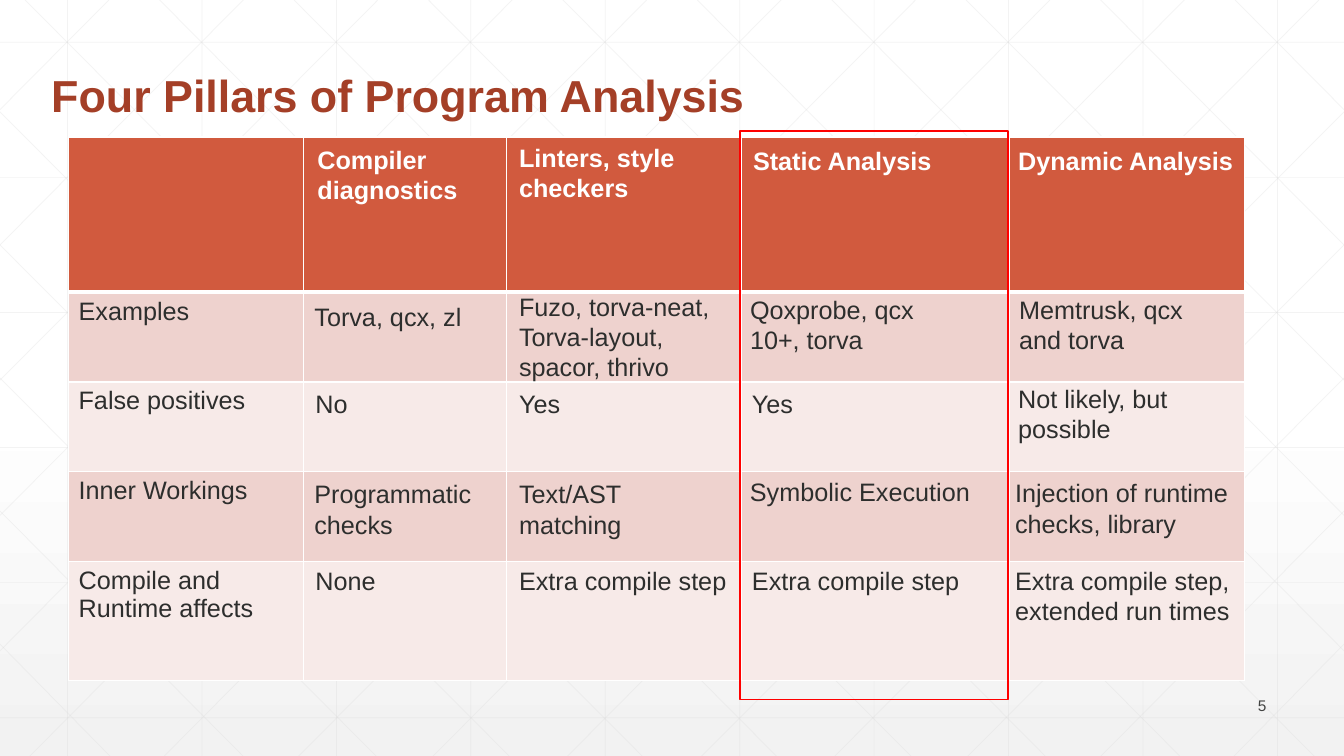
from lxml import etree
from pptx import Presentation
from pptx.dml.color import RGBColor
from pptx.enum import shapes, text
from pptx.oxml import ns
from pptx.util import Inches, Pt

WHITE = RGBColor(0xFF, 0xFF, 0xFF)
PALE_GREY = RGBColor(0xF2, 0xF2, 0xF2)
GRID_GREY = RGBColor(0xD9, 0xD9, 0xD9)
RUST = RGBColor(0xA4, 0x3F, 0x27)
ORANGE = RGBColor(0xD1, 0x5A, 0x3E)
ROSE = RGBColor(0xEE, 0xD2, 0xCE)
PALE_ROSE = RGBColor(0xF7, 0xEA, 0xE8)
INK = RGBColor(0x2D, 0x2E, 0x2D)
NUMBER_GREY = RGBColor(0x42, 0x43, 0x42)
RED = RGBColor(0xFF, 0x00, 0x00)

WIDTH, HEIGHT = 13.33, 7.5
STEP = 4 / 3
WRAP_WIDTH = 2.11

TITLE = {"size": Pt(32), "bold": True, "color": RUST}
HEADING = {"size": Pt(18), "bold": True, "color": WHITE}
BODY = {"size": Pt(18), "bold": False, "color": INK}
NUMBER = {"size": Pt(11), "bold": False, "color": NUMBER_GREY}


def write(frame, lines, style, **layout):
    """Fill a text frame with one paragraph per line, in one font style."""
    frame.text = "\n".join(lines)
    for paragraph in frame.paragraphs:
        for name, value in layout.items():
            setattr(paragraph, name, value)
        font = paragraph.runs[0].font
        font.name = "Arial"
        for name, value in style.items():
            if name == "color":
                font.color.rgb = value
            else:
                setattr(font, name, value)


def add_text(box, lines, style, frame_format, **layout):
    """Add a text box at (left, top, width, height) in inches."""
    frame = slide.shapes.add_textbox(*map(Inches, box)).text_frame
    write(frame, lines, style, **layout)
    for name, value in frame_format.items():
        setattr(frame, name, value)


deck = Presentation()
deck.slide_width, deck.slide_height = Inches(WIDTH), Inches(HEIGHT)
slide = deck.slides.add_slide(deck.slide_layouts[6])

# Background gradient
backdrop = slide.background.fill
backdrop.gradient()
backdrop.gradient_angle = 270
for stop, position, color in zip(backdrop.gradient_stops, (0.53, 1), (WHITE, PALE_GREY)):
    stop.position = position
    stop.color.rgb = color

# Faint grid: uprights, levels, then diagonals mirrored about the middle
grid = [(x, 0, x, HEIGHT) for x in (0.67 + STEP * i for i in range(10))]
grid += [(0, y, WIDTH, y) for y in (0.42 + 1.34 * i for i in range(6))]
diagonals = []
for i in range(10):
    start = 0.25 + STEP * i
    run = min(7.45, WIDTH - start)
    diagonals.append((start, 0, start + run, run * HEIGHT / 7.45))
for i in range(5):
    diagonals.append((6.37 - 1.32 * i, HEIGHT, 0, 1.11 + 1.32 * i))
grid += diagonals
grid += [(WIDTH - x1, y1, WIDTH - x2, y2) for x1, y1, x2, y2 in diagonals]

for ends in grid:
    rule = slide.shapes.add_connector(shapes.MSO_CONNECTOR.STRAIGHT, *map(Inches, ends))
    rule.line.width = Pt(0.5)
    rule.line.color.rgb = GRID_GREY
    properties = rule._element.spPr
    tint = properties.find(".//" + ns.qn("a:srgbClr"))
    etree.SubElement(tint, ns.qn("a:alpha"), val="30000")
    etree.SubElement(properties, ns.qn("a:effectLst"))

add_text((0.41, 0.19, 10.58, 1.07), ["Four Pillars of Program Analysis"], TITLE,
         {"word_wrap": True, "vertical_anchor": text.MSO_ANCHOR.BOTTOM}, line_spacing=0.9)

# Table with row labels
row_labels = ["", "Examples", "False positives", "Inner Workings", "Compile and Runtime affects"]
row_fills = [ORANGE, ROSE, PALE_ROSE, ROSE, PALE_ROSE]
row_heights = [1.54, 0.89, 0.89, 0.89, 1.18]
column_widths = [2.33, 2.01, 2.33, 2.66, 2.33]
pillars = slide.shapes.add_table(5, 5, Inches(0.68), Inches(1.36),
                                 Inches(sum(column_widths)), Inches(sum(row_heights))).table
for column, width in zip(pillars.columns, column_widths):
    column.width = Inches(width)
for r, (row, height) in enumerate(zip(pillars.rows, row_heights)):
    row.height = Inches(height)
    for cell in row.cells:
        cell_format = cell._tc.get_or_add_tcPr()
        for side in ("lnL", "lnR", "lnT", "lnB"):
            thick = (r, side) in ((0, "lnB"), (1, "lnT"))
            border = etree.SubElement(cell_format, ns.qn("a:" + side), w=str(Pt(3 if thick else 1)))
            solid = etree.SubElement(border, ns.qn("a:solidFill"))
            etree.SubElement(solid, ns.qn("a:srgbClr"), val=str(WHITE))
        cell.fill.solid()
        cell.fill.fore_color.rgb = row_fills[r]
    if row_labels[r]:
        write(pillars.cell(r, 0).text_frame, [row_labels[r]], BODY)

# Frame around the static analysis column
highlight = slide.shapes.add_shape(shapes.MSO_SHAPE.RECTANGLE, Inches(7.34), Inches(1.3),
                                   Inches(2.66), Inches(5.64))
highlight.shadow.inherit = False
highlight.fill.background()
highlight.line.color.rgb = RED
highlight.line.width = Pt(1)

add_text((11.66, 6.88, 1, 0.24), ["5"], NUMBER,
         {"word_wrap": True, "vertical_anchor": text.MSO_ANCHOR.MIDDLE},
         alignment=text.PP_ALIGN.RIGHT)

# Column entries: left, top, width, lines; the first of each column is its heading
columns = [
    [(3.05, 1.38, 1.6, ["Compiler", "diagnostics"]),
     (3.02, 2.94, 1.72, ["Torva, qcx, zl"]),
     (3.03, 3.8, 0.52, ["No"]),
     (3.02, 4.7, 1.77, ["Programmatic", "checks"]),
     (3.03, 5.56, 0.81, ["None"])],
    [(5.05, 1.36, 1.76, ["Linters, style", "checkers"]),
     (5.05, 2.84, WRAP_WIDTH, ["Fuzo, torva-neat,", "Torva-layout,", "spacor, thrivo"]),
     (5.05, 3.8, 0.61, ["Yes"]),
     (5.05, 4.7, 1.29, ["Text/AST", "matching"]),
     (5.05, 5.56, 2.28, ["Extra compile step"])],
    [(7.37, 1.39, 1.99, ["Static Analysis"]),
     (7.34, 2.87, WRAP_WIDTH, ["Qoxprobe, qcx", "10+, torva"]),
     (7.36, 3.8, 0.61, ["Yes"]),
     (7.34, 4.68, 2.4, ["Symbolic Execution"]),
     (7.36, 5.56, 2.28, ["Extra compile step"])],
    [(10, 1.39, 2.35, ["Dynamic Analysis"]),
     (10.01, 2.87, WRAP_WIDTH, ["Memtrusk, qcx", "and torva"]),
     (10, 3.75, WRAP_WIDTH, ["Not likely, but", "possible"]),
     (9.97, 4.69, 2.4, ["Injection of runtime", "checks, library"]),
     (9.97, 5.56, 2.38, ["Extra compile step,", "extended run times"])],
]
for entries in columns:
    for r, (left, top, width, lines) in enumerate(entries):
        add_text((left, top, width, 0.1 + 0.3 * len(lines)), lines, BODY if r else HEADING,
                 {"word_wrap": width == WRAP_WIDTH,
                  "auto_size": text.MSO_AUTO_SIZE.SHAPE_TO_FIT_TEXT})

deck.save("out.pptx")
